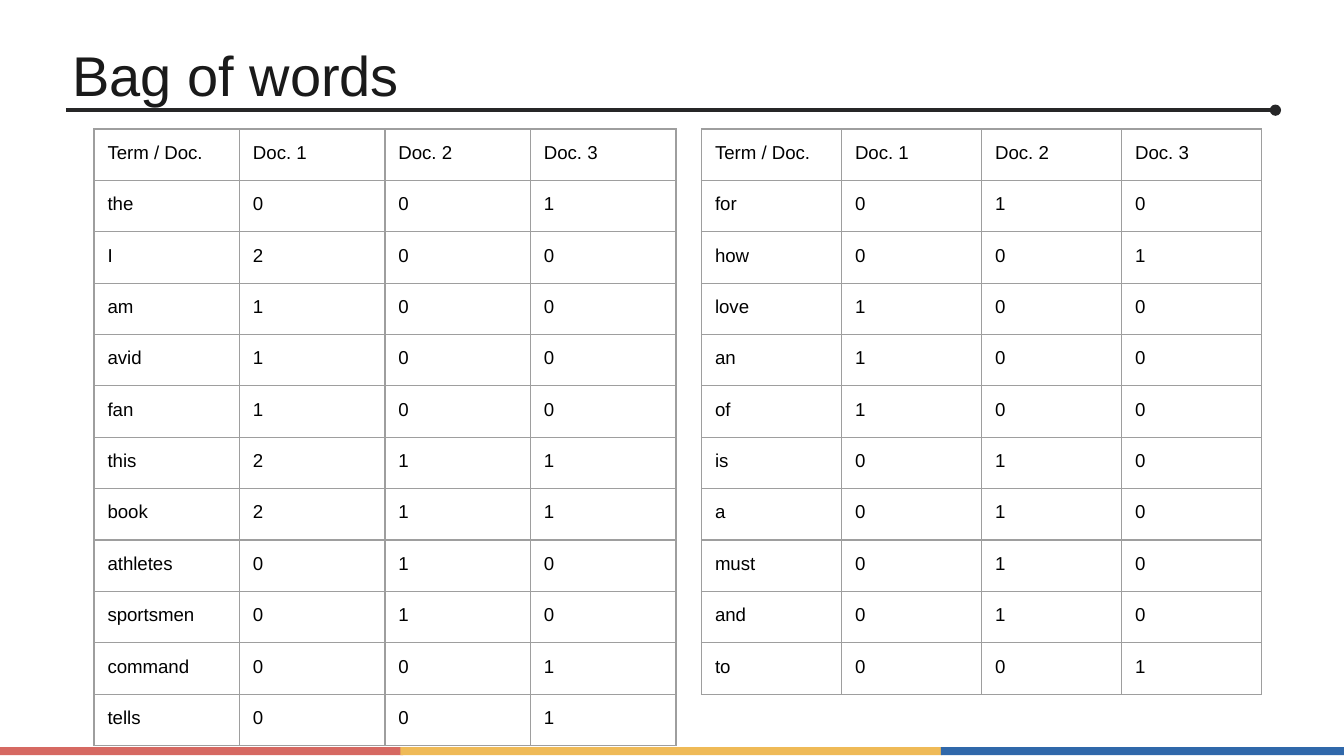
from dataclasses import dataclass

from lxml import etree
from pptx import Presentation
from pptx import util as u
from pptx.dml.color import RGBColor
from pptx.enum import shapes, text
from pptx.oxml import ns
from pptx.slide import Slide
from pptx.table import _Cell
from pptx.text.text import _Paragraph

RED = RGBColor(0xD6, 0x69, 0x62)
YELLOW = RGBColor(0xEF, 0xBA, 0x57)
BLUE = RGBColor(0x30, 0x68, 0xAA)
RULE_GREY = RGBColor(0x26, 0x26, 0x27)
TITLE_GREY = RGBColor(0x1A, 0x1A, 0x1A)
BORDER_GREY = RGBColor(0x9E, 0x9E, 0x9E)
BLACK = RGBColor(0, 0, 0)
WHITE = RGBColor(0xFF, 0xFF, 0xFF)

SLIDE_WIDTH = u.Inches(10)
SLIDE_HEIGHT = SLIDE_WIDTH * 9 // 16
FONT = "Arial"
HEADER = ("Term / Doc.", "Doc. 1", "Doc. 2", "Doc. 3")
TABLE_TOP = u.Inches(0.96)
ROW_HEIGHT = u.Inches(4.59 / 12)
CELL_MARGIN = u.Inches(0.1)
TITLE_MARGIN = u.Inches(0.03)


@dataclass(frozen=True)
class Band:
    left: float
    width: float
    color: RGBColor


@dataclass(frozen=True)
class CountTable:
    left: float
    width: float
    counts: dict[str, tuple[int, int, int]]


BANDS = (
    Band(-0.02, 3.02, RED),
    Band(2.98, 4.03, YELLOW),
    Band(7, 3.02, BLUE),
)

COUNT_TABLES = (
    CountTable(0.7, 4.33, {
        "the": (0, 0, 1),
        "I": (2, 0, 0),
        "am": (1, 0, 0),
        "avid": (1, 0, 0),
        "fan": (1, 0, 0),
        "this": (2, 1, 1),
        "book": (2, 1, 1),
        "athletes": (0, 1, 0),
        "sportsmen": (0, 1, 0),
        "command": (0, 0, 1),
        "tells": (0, 0, 1),
    }),
    CountTable(5.22, 4.17, {
        "for": (0, 1, 0),
        "how": (0, 0, 1),
        "love": (1, 0, 0),
        "an": (1, 0, 0),
        "of": (1, 0, 0),
        "is": (0, 1, 0),
        "a": (0, 1, 0),
        "must": (0, 1, 0),
        "and": (0, 1, 0),
        "to": (0, 0, 1),
    }),
)


def add_run(paragraph: _Paragraph, words: str, size: float, color: RGBColor) -> None:
    run = paragraph.add_run()
    run.text = words
    run.font.name = FONT
    run.font.size = u.Pt(size)
    run.font.color.rgb = color


def add_band(slide: Slide, band: Band) -> None:
    strip = slide.shapes.add_shape(
        shapes.MSO_SHAPE.RECTANGLE, u.Inches(band.left), u.Inches(5.56),
        u.Inches(band.width), u.Inches(0.06))
    strip.shadow.inherit = False
    strip.fill.solid()
    strip.fill.fore_color.rgb = band.color
    strip.line.fill.background()


def add_title_rule(slide: Slide) -> None:
    """Draw the line under the title, ending in a dot."""
    rule = slide.shapes.add_connector(
        shapes.MSO_CONNECTOR.STRAIGHT, u.Inches(0.49), u.Inches(0.82),
        u.Inches(9.49), u.Inches(0.82))
    rule.line.color.rgb = RULE_GREY
    rule.line.width = u.Pt(2)
    etree.SubElement(rule.line._get_or_add_ln(), ns.qn("a:tailEnd"), type="oval")
    etree.SubElement(rule._element.spPr, ns.qn("a:effectLst"))


def add_title(slide: Slide, words: str) -> None:
    title = slide.shapes.add_textbox(
        u.Inches(0.51), u.Inches(0.24), u.Inches(6.4), u.Inches(0.62))
    frame = title.text_frame
    frame.word_wrap = True
    frame.vertical_anchor = text.MSO_ANCHOR.MIDDLE
    frame.margin_left = frame.margin_right = TITLE_MARGIN
    frame.margin_top = frame.margin_bottom = TITLE_MARGIN
    add_run(frame.paragraphs[0], words, 30, TITLE_GREY)


def add_borders(cell: _Cell) -> None:
    properties = cell._tc.get_or_add_tcPr()
    for side in ("lnL", "lnR", "lnT", "lnB"):
        border = etree.SubElement(
            properties, ns.qn(f"a:{side}"), w=str(u.Pt(0.75)))
        fill = etree.SubElement(border, ns.qn("a:solidFill"))
        etree.SubElement(fill, ns.qn("a:srgbClr"), val=str(BORDER_GREY))


def fill_cell(cell: _Cell, words: str) -> None:
    cell.margin_left = cell.margin_right = CELL_MARGIN
    cell.margin_top = cell.margin_bottom = CELL_MARGIN
    add_borders(cell)
    cell.fill.solid()
    cell.fill.fore_color.rgb = WHITE
    add_run(cell.text_frame.paragraphs[0], words, 10, BLACK)


def add_count_table(slide: Slide, content: CountTable) -> None:
    lines = [HEADER, *((term, *counts) for term, counts in content.counts.items())]
    table = slide.shapes.add_table(
        len(lines), len(HEADER), u.Inches(content.left), TABLE_TOP,
        u.Inches(content.width), ROW_HEIGHT * len(lines)).table
    table.first_row = table.horz_banding = False
    for row, line in zip(table.rows, lines):
        row.height = ROW_HEIGHT
        for cell, value in zip(row.cells, line):
            fill_cell(cell, str(value))


def main() -> None:
    deck = Presentation()
    deck.slide_width = SLIDE_WIDTH
    deck.slide_height = SLIDE_HEIGHT
    slide = deck.slides.add_slide(deck.slide_layouts[6])
    for band in BANDS:
        add_band(slide, band)
    add_title_rule(slide)
    add_title(slide, "Bag of words")
    for count_table in COUNT_TABLES:
        add_count_table(slide, count_table)
    deck.save("out.pptx")


if __name__ == "__main__":
    main()
